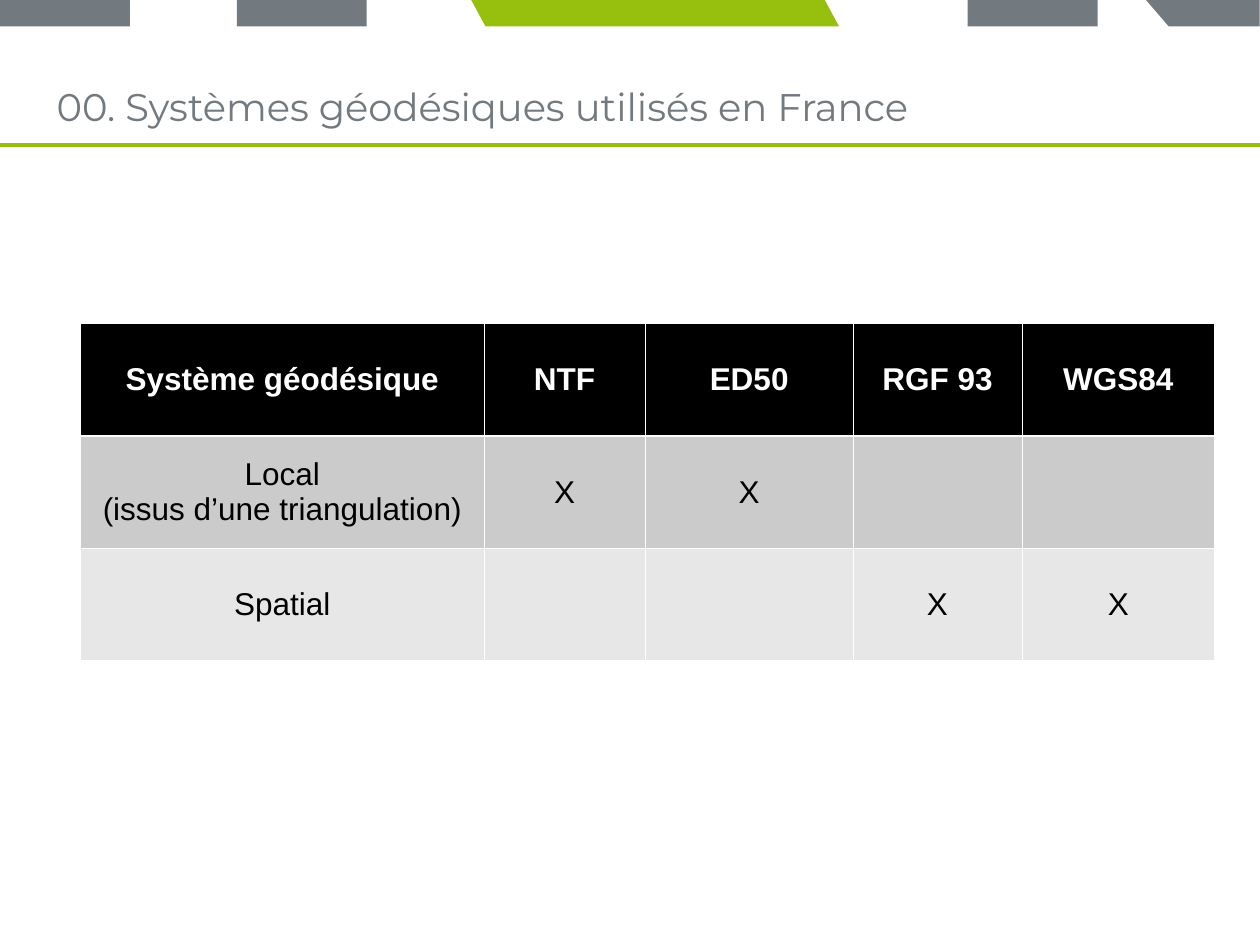
from lxml import etree
from pptx import Presentation
from pptx.dml.color import RGBColor
from pptx.enum.shapes import MSO_CONNECTOR, MSO_SHAPE
from pptx.enum.text import MSO_ANCHOR, MSO_AUTO_SIZE, PP_ALIGN
from pptx.oxml import parse_xml
from pptx.oxml.ns import nsdecls, qn
from pptx.util import Pt

RECTANGLE = MSO_SHAPE.RECTANGLE
PARALLELOGRAM = MSO_SHAPE.PARALLELOGRAM
MANUAL_INPUT = MSO_SHAPE.FLOWCHART_MANUAL_INPUT
STRAIGHT = MSO_CONNECTOR.STRAIGHT
MIDDLE = MSO_ANCHOR.MIDDLE
LEFT, CENTER = PP_ALIGN.LEFT, PP_ALIGN.CENTER
NO_AUTOFIT = MSO_AUTO_SIZE.NONE

GREEN, GREY, WHITE, BLACK = "97BF0D", "72797F", "FFFFFF", "000000"
BAND_HEIGHT = 15.1
THIN, THICK = 0.45, 1.47

COLUMN_WIDTHS = [230.4, 92.2, 118.8, 96.5, 110.2]
ROW_HEIGHT = 64.2
SYSTEMS = [
    ["Système géodésique", "NTF", "ED50", "RGF 93", "WGS84"],
    ["Local\n(issus d’une triangulation)", "X", "X", "", ""],
    ["Spatial", "", "", "X", "X"],
]
ROW_FILLS = [BLACK, "CBCBCB", "E7E7E7"]


def color(code):
    return RGBColor.from_string(code)


def write(frame, text, font="Arial", size=18, ink=BLACK, bold=False, align=LEFT):
    frame.text = text
    for paragraph in frame.paragraphs:
        paragraph.alignment = align
        for run in paragraph.runs:
            run.font.name = font
            run.font.size = Pt(size)
            run.font.bold = bold
            run.font.color.rgb = color(ink)


def add_band(slide, preset, left, top, width, height, fill, flips=()):
    band = slide.shapes.add_shape(preset, Pt(left), Pt(top), Pt(width), Pt(height))
    band.shadow.inherit = False
    band.fill.solid()
    band.fill.fore_color.rgb = color(fill)
    band.line.fill.background()
    for flip in flips:
        band._element.spPr.xfrm.set(flip, "1")
    return band


def add_header_bands(slide):
    for left in (0, 135.4, 553):
        add_band(slide, RECTANGLE, left, 0, 74.2, BAND_HEIGHT, GREY)
    center_band = add_band(slide, PARALLELOGRAM, 269.3, 0, 210.2, BAND_HEIGHT,
                           GREEN, flips=["flipH"])
    center_band.adjustments[0] = 0.54
    corner_band = add_band(slide, MANUAL_INPUT, 679.8, -24.9, BAND_HEIGHT, 64.9,
                           GREY, flips=["flipH", "flipV"])
    corner_band.rotation = 90


def add_rule(slide, y, width):
    rule = slide.shapes.add_connector(STRAIGHT, Pt(0), Pt(y), Pt(width), Pt(y))
    rule.line.color.rgb = color(GREEN)
    rule.line.width = Pt(2.25)
    etree.SubElement(rule._element.spPr, qn("a:effectLst"))


def set_title(slide, text):
    title = slide.shapes.title
    title.left, title.top, title.width, title.height = Pt(25.2), Pt(38.9), Pt(658.8), Pt(43.9)
    frame = title.text_frame
    frame.auto_size = NO_AUTOFIT
    frame.word_wrap = True
    frame.vertical_anchor = MIDDLE
    write(frame, text, font="Montserrat", size=22, ink=GREY)


def set_borders(cell, top, bottom):
    properties = cell._tc.get_or_add_tcPr()
    for side, width in (("L", THIN), ("R", THIN), ("T", top), ("B", bottom)):
        properties.append(parse_xml(
            f'<a:ln{side} {nsdecls("a")} w="{Pt(width)}"><a:solidFill>'
            f'<a:srgbClr val="{WHITE}"/></a:solidFill></a:ln{side}>'))


def add_systems_table(slide):
    table = slide.shapes.add_table(
        len(SYSTEMS), len(COLUMN_WIDTHS), Pt(46.1), Pt(185),
        Pt(sum(COLUMN_WIDTHS)), Pt(ROW_HEIGHT * len(SYSTEMS))).table
    for column, width in zip(table.columns, COLUMN_WIDTHS):
        column.width = Pt(width)
    for index, (labels, fill) in enumerate(zip(SYSTEMS, ROW_FILLS)):
        table.rows[index].height = Pt(ROW_HEIGHT)
        is_header = index == 0
        for cell, label in zip(table.rows[index].cells, labels):
            set_borders(cell, top=THICK if index == 1 else THIN,
                        bottom=THICK if is_header else THIN)
            cell.fill.solid()
            cell.fill.fore_color.rgb = color(fill)
            cell.vertical_anchor = MIDDLE
            write(cell.text_frame, label, ink=WHITE if is_header else BLACK,
                  bold=is_header, align=CENTER)


def main():
    deck = Presentation()
    deck.slide_width, deck.slide_height = Pt(720), Pt(540)
    slide = deck.slides.add_slide(deck.slide_layouts[5])
    add_rule(slide, 82.8, 720)
    add_header_bands(slide)
    set_title(slide, "00. Systèmes géodésiques utilisés en France")
    add_systems_table(slide)
    deck.save("out.pptx")


if __name__ == "__main__":
    main()
